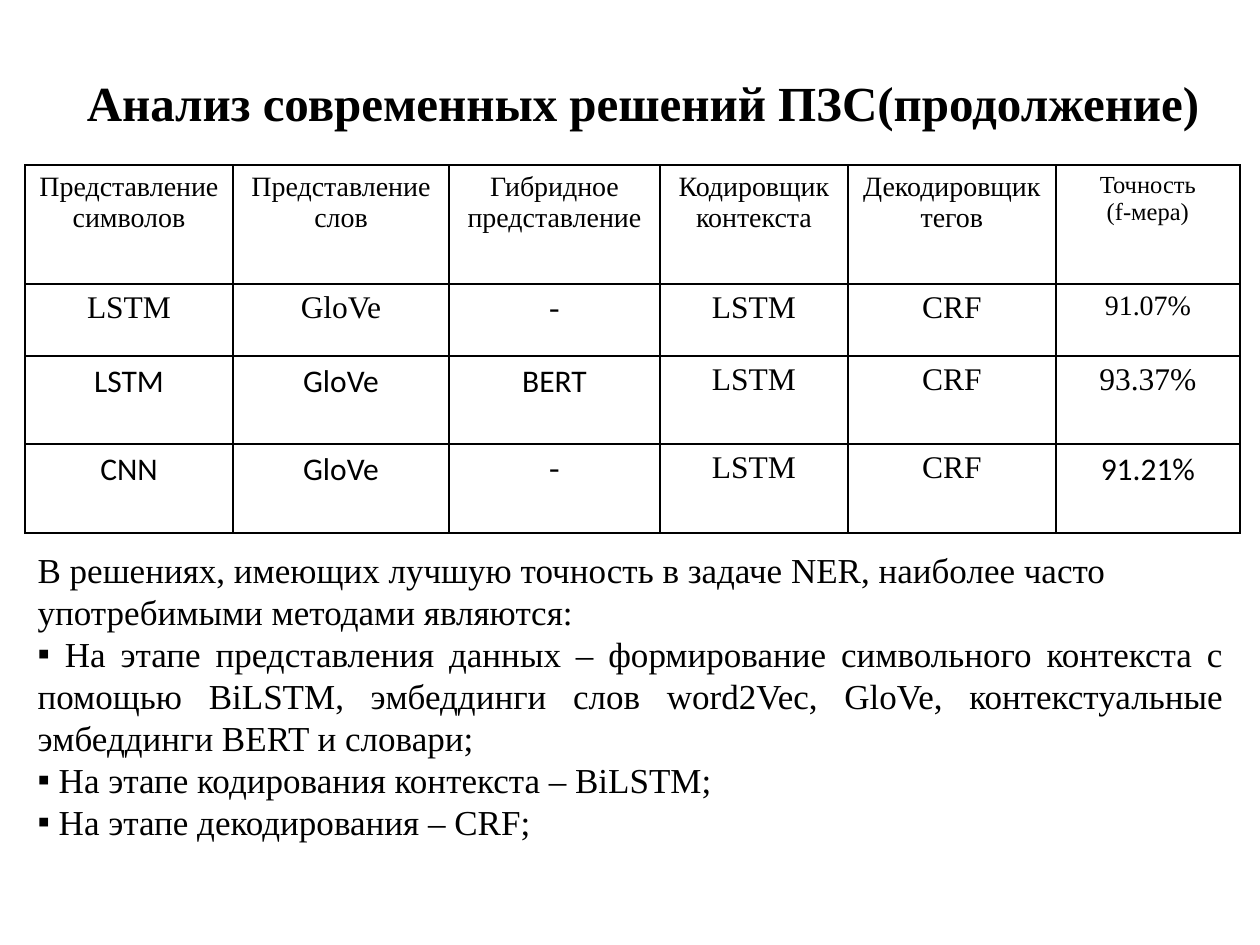
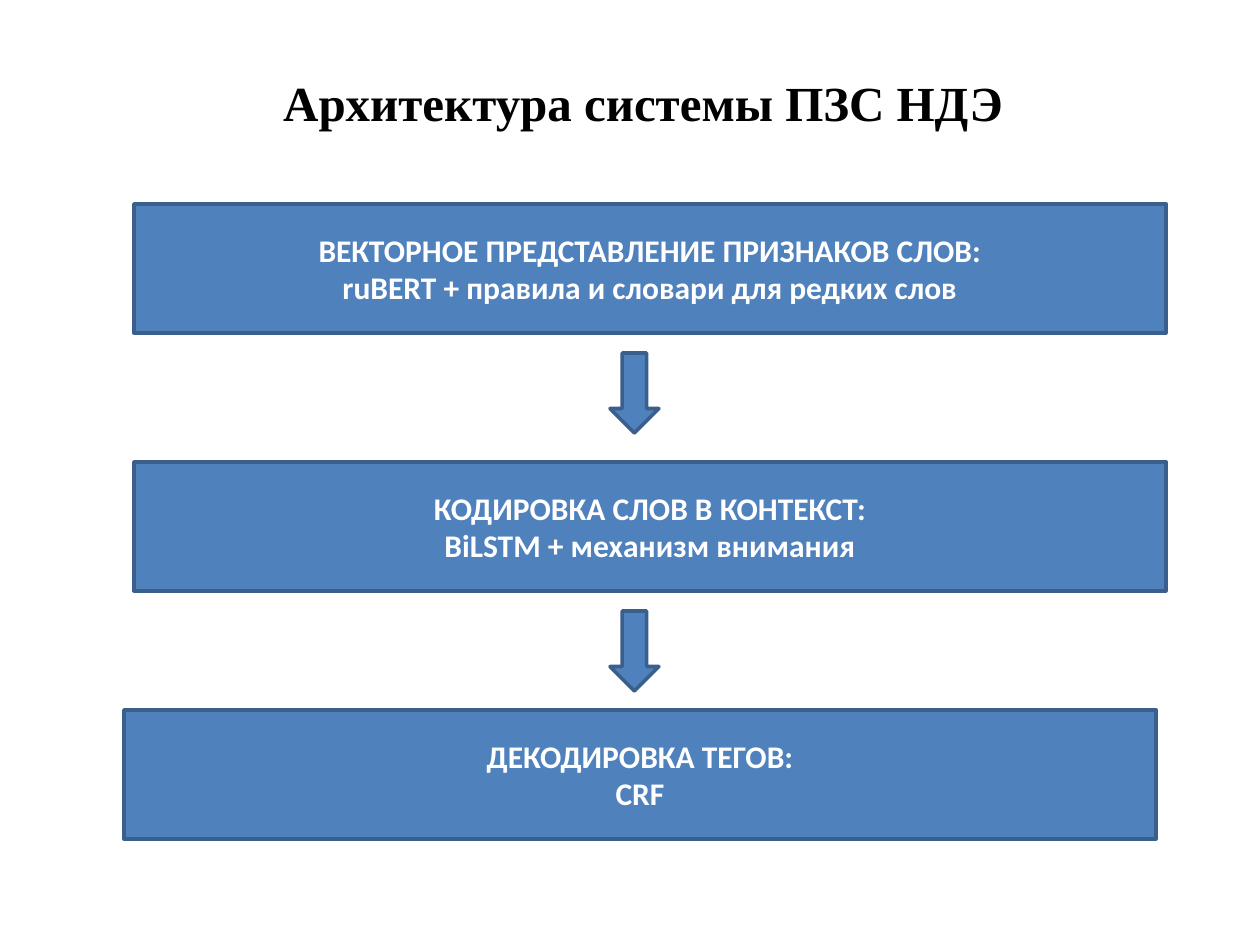
import lxml.etree
import pptx
import pptx.dml.color
import pptx.enum.shapes
import pptx.enum.text
import pptx.oxml.ns
import pptx.util

SERIF, SANS = "Times New Roman", "Calibri"
BLACK, WHITE, BLUE, NAVY = "000000", "FFFFFF", "4F81BD", "3A5F8C"
ALIGN = pptx.enum.text.PP_ALIGN
ANCHOR = pptx.enum.text.MSO_ANCHOR
SHAPE = pptx.enum.shapes.MSO_SHAPE

TITLE_BOX = (68, 66, 1150, 72)
TITLE = {"name": SERIF, "size": pptx.util.Pt(28), "bold": True}
BODY = {"name": SERIF, "size": pptx.util.Pt(20)}
CELL = {"name": SERIF, "size": pptx.util.Pt(18)}
STAGE = {"name": SANS, "size": pptx.util.Pt(18), "bold": True}
HEAD = {"size": pptx.util.Pt(16)}
SMALL = {"size": pptx.util.Pt(14)}
PLAIN = {"name": SANS}

COLS = (208, 216, 211, 188, 208, 184)
ROWS = (119, 72, 88, 89)
GRID = (
    ("Представление символов", "Представление слов", "Гибридное представление",
     "Кодировщик контекста", "Декодировщик тегов", "Точность\n(f-мера)"),
    ("LSTM", "GloVe", "-", "LSTM", "CRF", "91.07%"),
    ("LSTM", "GloVe", "BERT", "LSTM", "CRF", "93.37%"),
    ("CNN", "GloVe", "-", "LSTM", "CRF", "91.21%"),
)
FORMATS = {(0, col): HEAD for col in range(5)}
FORMATS |= {(0, 5): SMALL, (1, 5): HEAD}
FORMATS |= {spot: PLAIN for spot in
            ((2, 0), (2, 1), (2, 2), (3, 0), (3, 1), (3, 5))}

LEAD = ("В решениях, имеющих лучшую точность в задаче NER, "
        "наиболее часто употребимыми методами являются:")
POINTS = (
    " На этапе представления данных – формирование символьного контекста "
    "с помощью BiLSTM, эмбеддинги слов word2Vec, GloVe, контекстуальные "
    "эмбеддинги BERT и словари;",
    " На этапе кодирования контекста – BiLSTM;",
    " На этапе декодирования – CRF;",
)
STAGES = (
    (134, 204, "ВЕКТОРНОЕ ПРЕДСТАВЛЕНИЕ ПРИЗНАКОВ СЛОВ:\n"
               "ruBERT + правила и словари для редких слов"),
    (134, 462, "КОДИРОВКА СЛОВ В КОНТЕКСТ:\nBiLSTM + механизм внимания"),
    (124, 710, "ДЕКОДИРОВКА ТЕГОВ:\nCRF"),
)


def px(count):
    """Turn pixels into EMU."""
    return pptx.util.Emu(round(count * 914400 / 126))


def paint(target, code):
    """Give a fill or line format a solid colour."""
    target.solid()
    target.fore_color.rgb = pptx.dml.color.RGBColor.from_string(code)


def place(shape, box):
    """Move a shape to a pixel box."""
    for name, value in zip(("left", "top", "width", "height"), box):
        setattr(shape, name, px(value))


def write(frame, text, style, code, align):
    """Fill a text frame with formatted paragraphs."""
    frame.text = text
    for para in frame.paragraphs:
        para.alignment = align
        para.space_before = pptx.util.Pt(0)
        for run in para.runs:
            paint(run.font.fill, code)
            for name, value in style.items():
                setattr(run.font, name, value)


def bullet(para, char=None):
    """Set the bullet of a paragraph without any indent."""
    props = para._p.get_or_add_pPr()
    props.set("marL", "0")
    props.set("indent", "0")
    tag = "a:buChar" if char else "a:buNone"
    mark = lxml.etree.SubElement(props, pptx.oxml.ns.qn(tag))
    if char:
        mark.set("char", char)


def start(deck, layout, text):
    """Add a slide with the shared title style."""
    slide = deck.slides.add_slide(deck.slide_layouts[layout])
    title = slide.shapes.title
    place(title, TITLE_BOX)
    write(title.text_frame, text, TITLE, BLACK, ALIGN.CENTER)
    title.text_frame.auto_size = pptx.enum.text.MSO_AUTO_SIZE.NONE
    title.text_frame.vertical_anchor = ANCHOR.MIDDLE
    return slide


def fill_list(slide, box):
    """Write the lead sentence and its bullet points."""
    body = slide.placeholders[1]
    place(body, box)
    frame = body.text_frame
    write(frame, "\n".join((LEAD, *POINTS)), BODY, BLACK, ALIGN.JUSTIFY)
    frame.auto_size = pptx.enum.text.MSO_AUTO_SIZE.NONE
    lead, *points = frame.paragraphs
    lead.alignment = ALIGN.LEFT
    bullet(lead)
    for para in points:
        bullet(para, "▪")


def border(cell):
    """Draw a thin black line on every side of a cell."""
    props = cell._tc.get_or_add_tcPr()
    for index, side in enumerate(("lnL", "lnR", "lnT", "lnB")):
        line = props.makeelement(pptx.oxml.ns.qn("a:" + side), {"w": "12700"})
        fill = lxml.etree.SubElement(line, pptx.oxml.ns.qn("a:solidFill"))
        lxml.etree.SubElement(fill, pptx.oxml.ns.qn("a:srgbClr"), val=BLACK)
        props.insert(index, line)


def add_grid(slide, left, top):
    """Add the table that compares the solutions."""
    box = map(px, (left, top, sum(COLS), sum(ROWS)))
    table = slide.shapes.add_table(len(ROWS), len(COLS), *box).table
    table.first_row = table.horz_banding = False
    for col, width in zip(table.columns, COLS):
        col.width = px(width)
    for row, height in zip(table.rows, ROWS):
        row.height = px(height)
    for y, texts in enumerate(GRID):
        for x, text in enumerate(texts):
            cell = table.cell(y, x)
            style = CELL | FORMATS.get((y, x), {})
            write(cell.text_frame, text, style, BLACK, ALIGN.CENTER)
            paint(cell.fill, WHITE)
            border(cell)


def add_block(slide, kind, box, text=""):
    """Add a blue shape with an optional bold label."""
    shape = slide.shapes.add_shape(kind, *map(px, box))
    shape.shadow.inherit = False
    paint(shape.fill, BLUE)
    paint(shape.line.fill, NAVY)
    shape.line.width = pptx.util.Pt(2)
    if text:
        write(shape.text_frame, text, STAGE, WHITE, ALIGN.CENTER)
        shape.text_frame.vertical_anchor = ANCHOR.MIDDLE


def main():
    """Build both slides and save the deck."""
    deck = pptx.Presentation()
    deck.slide_width, deck.slide_height = px(1260), px(945)

    slide = start(deck, 1, "Анализ современных решений ПЗС(продолжение)")
    fill_list(slide, (25, 542, 1211, 320))
    add_grid(slide, 25, 165)

    slide = start(deck, 5, "Архитектура системы ПЗС НДЭ")
    for left, top, text in STAGES:
        add_block(slide, SHAPE.RECTANGLE, (left, top, 1032, 129), text)
    for _, top, _ in STAGES[:-1]:
        add_block(slide, SHAPE.DOWN_ARROW, (610, top + 149, 49, 80))

    deck.save("out.pptx")


if __name__ == "__main__":
    main()
